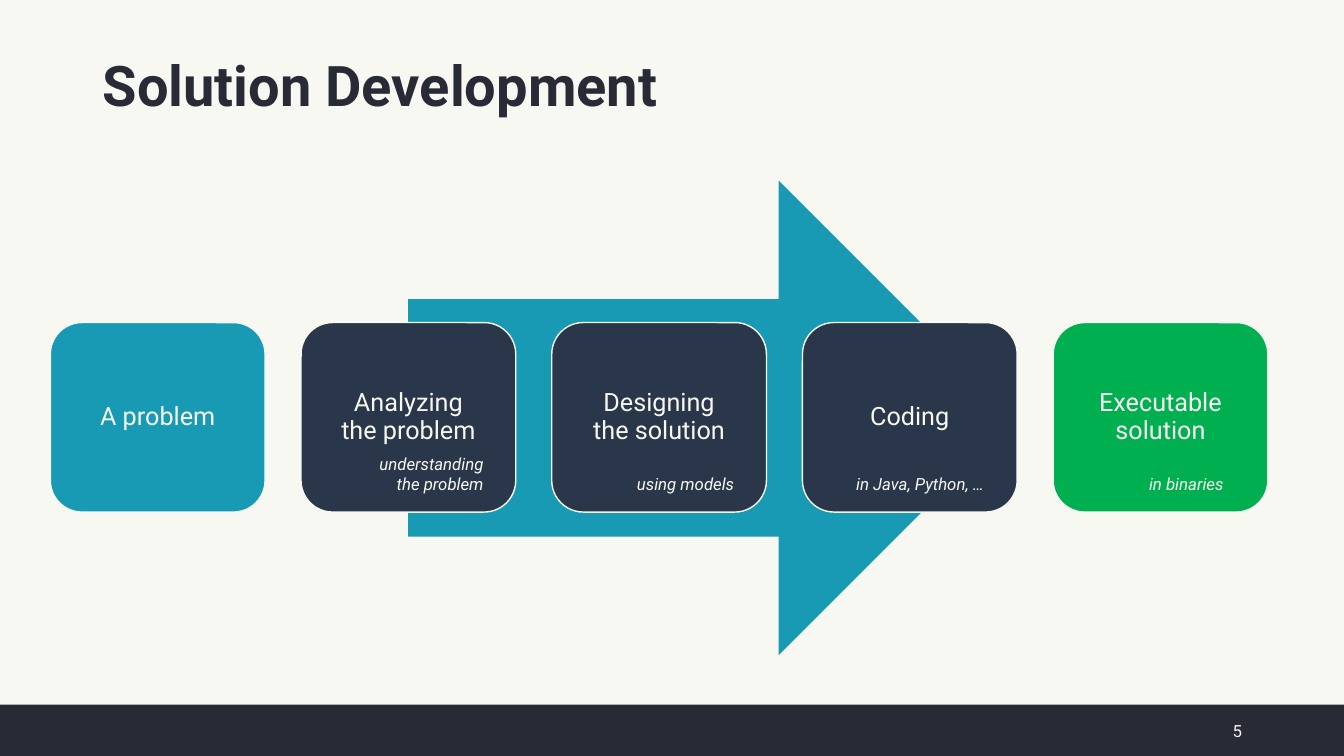
import copy

import pptx
import pptx.dml.color
import pptx.enum.shapes
import pptx.enum.text
import pptx.util

COLORS = {
    "paper": "F8F8F2",
    "ink": "282A36",
    "teal": "189AB4",
    "navy": "2A364A",
    "green": "00B050",
}
FONT = "Roboto"
COLUMNS, ROWS = 133.33, 75
CELL = pptx.util.Inches(0.1)
SHAPES = pptx.enum.shapes.MSO_SHAPE
ALIGN = pptx.enum.text.PP_ALIGN
ANCHOR = pptx.enum.text.MSO_ANCHOR

STAGE_LEFT, STAGE_STEP, STAGE_TOP = 5, 24.87, 32
STAGE_WIDTH, STAGE_HEIGHT = 21.3, 18.8
NOTE_WIDTH, NOTE_HEIGHT, NOTE_BOTTOM = 15, 5, 49.5
STAGES = [
    ("A problem", "teal", "", 0),
    ("Analyzing\nthe problem", "navy", "understanding\nthe problem", 2.2),
    ("Designing\nthe solution", "navy", "using models", 2.2),
    ("Coding", "navy", "in Java, Python, …", 2.3),
    ("Executable\nsolution", "green", "in binaries", 3.4),
]


def rgb(name):
    return pptx.dml.color.RGBColor.from_string(COLORS[name])


def write(frame, text, size=18, color="paper", bold=False, italic=False,
          align=ALIGN.LEFT, anchor=ANCHOR.MIDDLE, spacing=None, inset=None):
    frame.word_wrap = True
    frame.auto_size = pptx.enum.text.MSO_AUTO_SIZE.NONE
    frame.vertical_anchor = anchor
    if inset is not None:
        frame.margin_left = frame.margin_right = pptx.util.Inches(inset)
        frame.margin_top = frame.margin_bottom = pptx.util.Inches(inset)
    para = frame.paragraphs[0]
    para.text = text
    para.alignment = align
    para.line_spacing = spacing
    for span in para.runs:
        span.font.name = FONT
        span.font.size = pptx.util.Pt(size)
        span.font.bold = bold
        span.font.italic = italic
        span.font.color.rgb = rgb(color)
    for line_break in para._p.br_lst if hasattr(para._p, "br_lst") else para._p.xpath("a:br"):
        line_break.append(copy.deepcopy(para.runs[0].font._rPr))


class Page:
    def __init__(self, deck):
        self.slide = deck.slides.add_slide(deck.slide_layouts[5])
        self.slide.background.fill.solid()
        self.slide.background.fill.fore_color.rgb = rgb("paper")

    def place(self, *cells):
        return [round(cell * CELL) for cell in cells]

    def title(self, text, left, top, width, height):
        box = self.slide.shapes.title
        box.left, box.top, box.width, box.height = self.place(left, top, width, height)
        write(box.text_frame, text, size=40, color="ink", bold=True, spacing=0.9)

    def shape(self, kind, left, top, width, height, fill, outline=None):
        shape = self.slide.shapes.add_shape(kind, *self.place(left, top, width, height))
        shape.shadow.inherit = False
        shape.fill.solid()
        shape.fill.fore_color.rgb = rgb(fill)
        if outline:
            shape.line.color.rgb = rgb(outline)
            shape.line.width = pptx.util.Pt(1)
        else:
            shape.line.fill.background()
        return shape

    def text(self, text, left, top, width, height, **style):
        box = self.slide.shapes.add_textbox(*self.place(left, top, width, height))
        write(box.text_frame, text, **style)

    def stage(self, index, label, fill, note, note_indent):
        left = STAGE_LEFT + index * STAGE_STEP
        card = self.shape(SHAPES.ROUNDED_RECTANGLE, left, STAGE_TOP,
                          STAGE_WIDTH, STAGE_HEIGHT, fill, outline="paper")
        write(card.text_frame, label, align=ALIGN.CENTER, spacing=0.9, inset=0.07)
        if note:
            right = left + STAGE_WIDTH - note_indent
            self.text(note, right - NOTE_WIDTH, NOTE_BOTTOM - NOTE_HEIGHT,
                      NOTE_WIDTH, NOTE_HEIGHT, size=12, italic=True,
                      align=ALIGN.RIGHT, anchor=ANCHOR.BOTTOM)


def main():
    deck = pptx.Presentation()
    deck.slide_width = round(COLUMNS * CELL)
    deck.slide_height = ROWS * CELL
    page = Page(deck)
    page.shape(SHAPES.RECTANGLE, 0, 69.9, COLUMNS, ROWS - 69.9, "ink")
    page.text("5", 116.8, 70.5, 7.4, 4, size=12, align=ALIGN.RIGHT)
    page.title("Solution Development", 9.2, 1.5, 115, 14.5)
    page.shape(SHAPES.RIGHT_ARROW, 40.5, 17.9, 60.3, 47.1, "teal")
    for index, stage in enumerate(STAGES):
        page.stage(index, *stage)
    deck.save("out.pptx")


if __name__ == "__main__":
    main()
